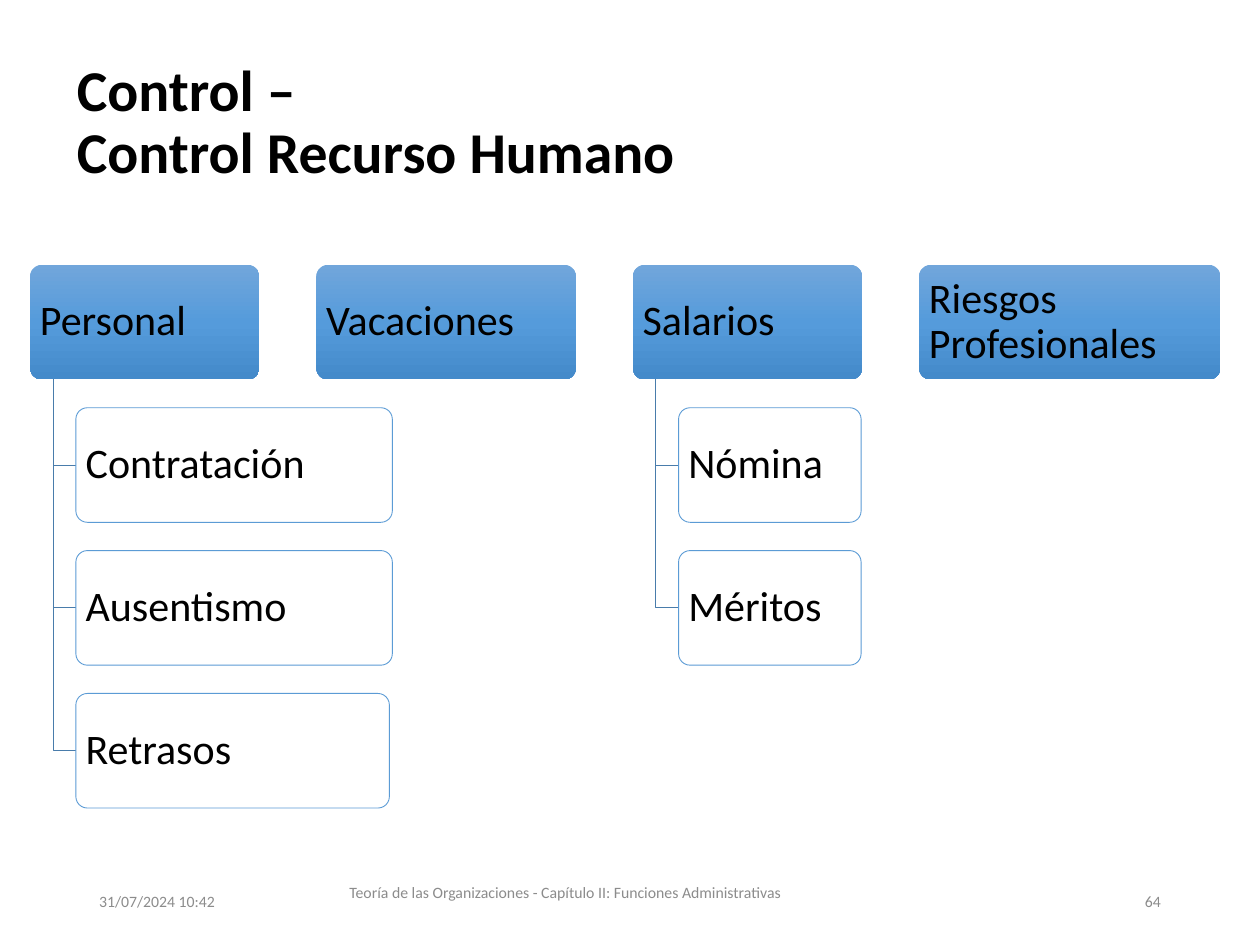
from copy import deepcopy

from lxml.etree import SubElement
from pptx import Presentation
from pptx.dml.color import RGBColor
from pptx.enum.shapes import MSO_SHAPE
from pptx.enum.text import MSO_ANCHOR, PP_ALIGN
from pptx.oxml.ns import qn
from pptx.util import Cm, Pt

COLORS = {"text": "000000", "muted": "8C8C8C", "white": "FFFFFF",
          "border": "5B9BD5", "elbow": "497CAB"}
HEADER_STOPS = ["71A6DB", "559BDB", "448ACA"]

# Each branch: heading, heading width, [(child, child width)] in cm
BRANCHES = [
    ("Personal", 4.62, [("Contratación", 6.38), ("Ausentismo", 6.38), ("Retrasos", 6.32)]),
    ("Vacaciones", 5.23, []),
    ("Salarios", 4.62, [("Nómina", 3.68), ("Méritos", 3.68)]),
    ("Riesgos Profesionales", 6.07, []),
]
BOX_H, ROW_STEP, COLUMN_GAP = 2.31, 2.88, 1.15
TRUNK, INDENT = 0.46, 0.92


def rgb(name):
    return RGBColor.from_string(COLORS[name])


def write(tf, text, size, color="text", bold=False, align=PP_ALIGN.LEFT, spacing=None):
    tf.word_wrap = True
    tf.vertical_anchor = MSO_ANCHOR.MIDDLE
    p = tf.paragraphs[0]
    p.text = text
    p.alignment = align
    p.line_spacing = spacing
    p.font.name = "Calibri"
    p.font.size = Pt(size)
    p.font.bold = bold
    p.font.color.rgb = rgb(color)


def add_text(s, box, text, size, **style):
    tb = s.shapes.add_textbox(*map(Cm, box))
    write(tb.text_frame, text, size, **style)


def add_box(s, x, y, w, text):
    sp = s.shapes.add_shape(MSO_SHAPE.ROUNDED_RECTANGLE, Cm(x), Cm(y), Cm(w), Cm(BOX_H))
    sp.adjustments[0] = 0.1
    sp.shadow.inherit = False
    tf = sp.text_frame
    tf.margin_left = tf.margin_right = Cm(0.13)
    tf.margin_top = tf.margin_bottom = Cm(0.08)
    write(tf, text, 24, spacing=0.9)
    return sp


def add_heading(s, x, y, w, text):
    sp = add_box(s, x, y, w, text)
    sp.line.fill.background()
    sp.fill.gradient()
    sp.fill.gradient_angle = 270
    # A third stop, halfway between the two default ones
    first = next(sp._element.spPr.iter(qn("a:gs")))
    first.addnext(deepcopy(first))
    for i, (stop, color) in enumerate(zip(sp.fill.gradient_stops, HEADER_STOPS)):
        stop.position = i / 2
        stop.color.rgb = RGBColor.from_string(color)


def add_child(s, x, y, w, text):
    sp = add_box(s, x, y, w, text)
    sp.fill.solid()
    sp.fill.fore_color.rgb = rgb("white")
    white = next(sp._element.spPr.iter(qn("a:srgbClr")))
    SubElement(white, qn("a:alpha"), val="90000")
    sp.line.color.rgb = rgb("border")
    sp.line.width = Pt(0.5)


def add_elbow(s, x, top, bottom):
    builder = s.shapes.build_freeform(Cm(x), Cm(top))
    builder.add_line_segments(
        [(Cm(x), Cm(bottom)), (Cm(x + INDENT - TRUNK), Cm(bottom))], close=False)
    sp = builder.convert_to_shape()
    sp.shadow.inherit = False
    sp.fill.background()
    sp.line.color.rgb = rgb("elbow")
    sp.line.width = Pt(0.5)


def add_branch(s, x, y, heading, width, children):
    add_heading(s, x, y, width, heading)
    for row, (text, child_width) in enumerate(children, 1):
        child_y = y + row * ROW_STEP
        add_elbow(s, x + TRUNK, y + BOX_H, child_y + BOX_H / 2)
        add_child(s, x + INDENT, child_y, child_width, text)


def add_hierarchy(s, x, y):
    for heading, width, children in BRANCHES:
        add_branch(s, x, y, heading, width, children)
        x += width + COLUMN_GAP


def add_footer(s, x, y):
    parts = [
        ((x, y + 0.3, 5.72, 1.02), "31/07/2024 10:42", PP_ALIGN.LEFT),
        ((x + 3, y, 13.28, 1.27),
         "Teoría de las Organizaciones - Capítulo II: Funciones Administrativas",
         PP_ALIGN.CENTER),
        ((x + 16.18, y + 0.3, 5.72, 1.02), "64", PP_ALIGN.RIGHT),
    ]
    for box, text, align in parts:
        add_text(s, box, text, 9, color="muted", align=align)


def main():
    prs = Presentation()
    prs.slide_width, prs.slide_height = Cm(25.4), Cm(19.05)
    s = prs.slides.add_slide(prs.slide_layouts[6])
    add_text(s, (1.3, 0.91, 22.86, 3.18), "Control – \vControl Recurso Humano", 33,
             bold=True, spacing=0.9)
    add_hierarchy(s, 0.61, 5.34)
    add_footer(s, 1.75, 17.35)
    prs.save("out.pptx")


if __name__ == "__main__":
    main()
